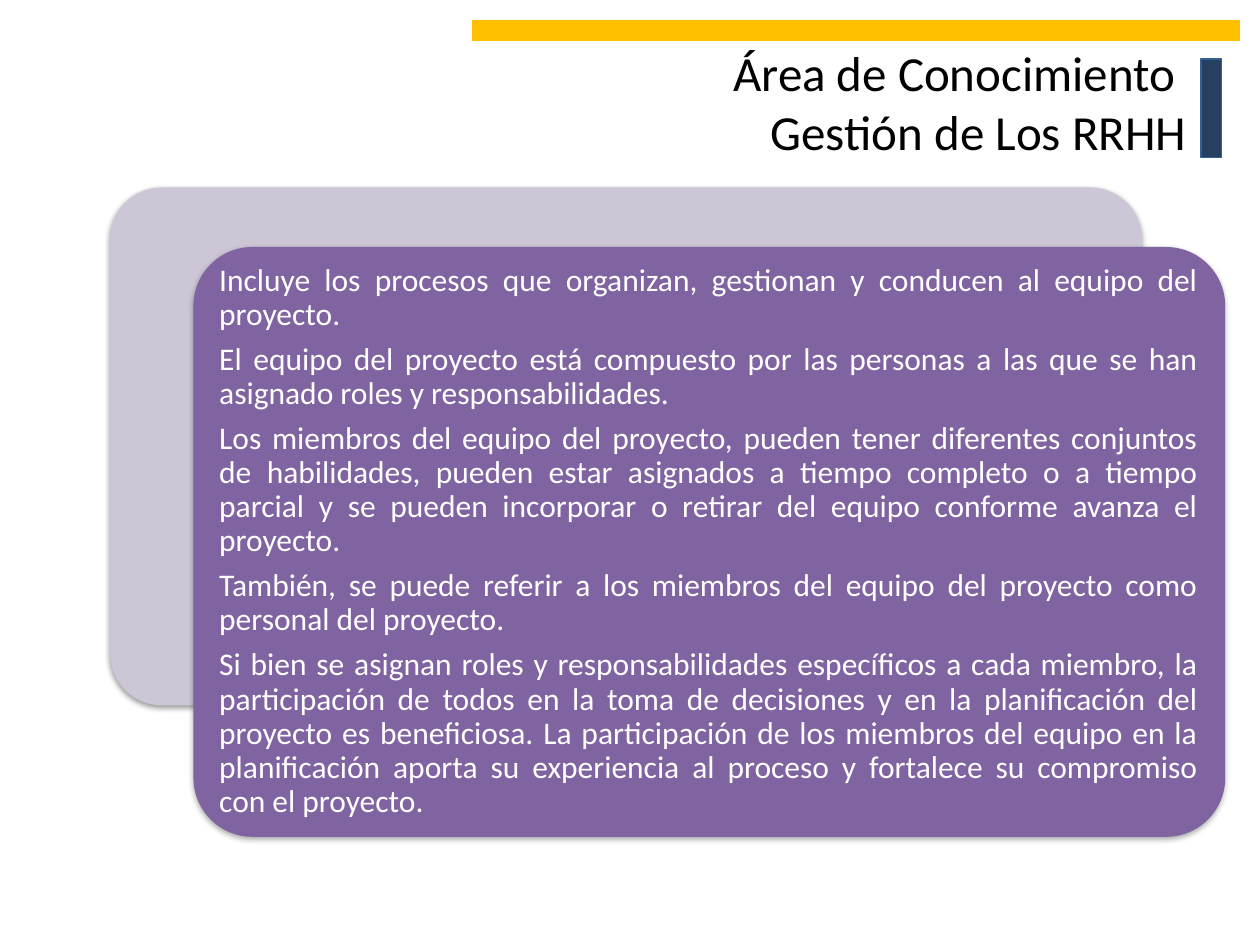
import pptx
import pptx.dml.color
import pptx.enum.shapes
import pptx.enum.text
import pptx.util
import lxml.etree
import pptx.oxml.ns

Cm = pptx.util.Cm
Pt = pptx.util.Pt
ALIGN = pptx.enum.text.PP_ALIGN
ANCHOR = pptx.enum.text.MSO_ANCHOR
SHAPE = pptx.enum.shapes.MSO_SHAPE

# Content
TITLE = "Área de Conocimiento \vGestión de Los RRHH"
STATEMENTS = [
    "Incluye los procesos que organizan, gestionan y conducen al equipo del proyecto. ",
    "El equipo del proyecto está compuesto por las personas a las que se han asignado "
    "roles y responsabilidades.",
    "Los miembros del equipo del proyecto, pueden tener diferentes conjuntos de "
    "habilidades, pueden estar asignados a tiempo completo o a tiempo parcial y se "
    "pueden incorporar o retirar del equipo conforme avanza el proyecto. ",
    "También, se puede referir a los miembros del equipo del proyecto como personal "
    "del proyecto. ",
    "Si bien se asignan roles y responsabilidades específicos a cada miembro, la "
    "participación de todos en la toma de decisiones y en la planificación del proyecto "
    "es beneficiosa. La participación de los miembros del equipo en la planificación "
    "aporta su experiencia al proceso y fortalece su compromiso con el proyecto. ",
]

# Left, top, width, height in cm; fill; line
BARS = [
    ((24.21, 1.19, 0.41, 1.98), "254061", "376092"),
    ((9.52, 0.41, 15.47, 0.41), "FFC000", "FFC000"),
]
# Left, top, width, height in cm; fill; shadow distance in pt; shadow opacity in %
CARDS = [
    ((2.22, 3.78, 20.8, 10.44), "CDC6D7", 1.6, 38),
    ((3.9, 4.98, 20.8, 11.89), "8064A2", 1.8, 35),
]
STATEMENTS_BOX = (4.24, 5.33, 20.09, 11.18)
TITLE_BOX = (2.95, 0.74, 21.21, 2.64)


def color(hex_value):
    return pptx.dml.color.RGBColor.from_string(hex_value)


def add_block(slide, kind, box, fill):
    block = slide.shapes.add_shape(kind, *map(Cm, box))
    block.shadow.inherit = False
    block.fill.solid()
    block.fill.fore_color.rgb = color(fill)
    block.line.fill.background()
    return block


def add_shadow(block, distance, opacity):
    qn = pptx.oxml.ns.qn
    effects = block._element.spPr.find(qn("a:effectLst"))
    shadow = lxml.etree.SubElement(
        effects, qn("a:outerShdw"), blurRad=str(Pt(3.1)), dist=str(Pt(distance)),
        dir="5400000", rotWithShape="0")
    tone = lxml.etree.SubElement(shadow, qn("a:srgbClr"), val="000000")
    lxml.etree.SubElement(tone, qn("a:alpha"), val=str(opacity * 1000))


def add_text(slide, box, paragraphs, size, hex_value, align):
    frame = slide.shapes.add_textbox(*map(Cm, box)).text_frame
    frame.word_wrap = True
    for index, words in enumerate(paragraphs):
        paragraph = frame.add_paragraph() if index else frame.paragraphs[0]
        paragraph.text = words
        paragraph.alignment = align
        for run in paragraph.runs:
            run.font.name = "Calibri"
            run.font.size = Pt(size)
            run.font.color.rgb = color(hex_value)
    return frame


def main():
    deck = pptx.Presentation()
    deck.slide_width, deck.slide_height = Cm(25.4), Cm(19.05)
    slide = deck.slides.add_slide(deck.slide_layouts[6])

    # Accent bars
    for box, fill, line in BARS:
        bar = add_block(slide, SHAPE.RECTANGLE, box, fill)
        bar.line.color.rgb = color(line)
        bar.line.width = Pt(0.75)

    # Overlapping cards
    for box, fill, distance, opacity in CARDS:
        card = add_block(slide, SHAPE.ROUNDED_RECTANGLE, box, fill)
        card.adjustments[0] = 0.1
        add_shadow(card, distance, opacity)

    # Statements on the front card
    statements = add_text(slide, STATEMENTS_BOX, STATEMENTS, 18, "FFFFFF", ALIGN.JUSTIFY)
    statements.vertical_anchor = ANCHOR.MIDDLE
    statements.margin_left = statements.margin_right = Cm(0.18)
    statements.margin_top = statements.margin_bottom = Cm(0.18)
    for paragraph in statements.paragraphs:
        paragraph.line_spacing = 0.9
        paragraph.space_after = Pt(6.3)

    # Title
    title = add_text(slide, TITLE_BOX, [TITLE], 28, "000000", ALIGN.RIGHT)
    title.auto_size = pptx.enum.text.MSO_AUTO_SIZE.SHAPE_TO_FIT_TEXT

    deck.save("out.pptx")


if __name__ == "__main__":
    main()
